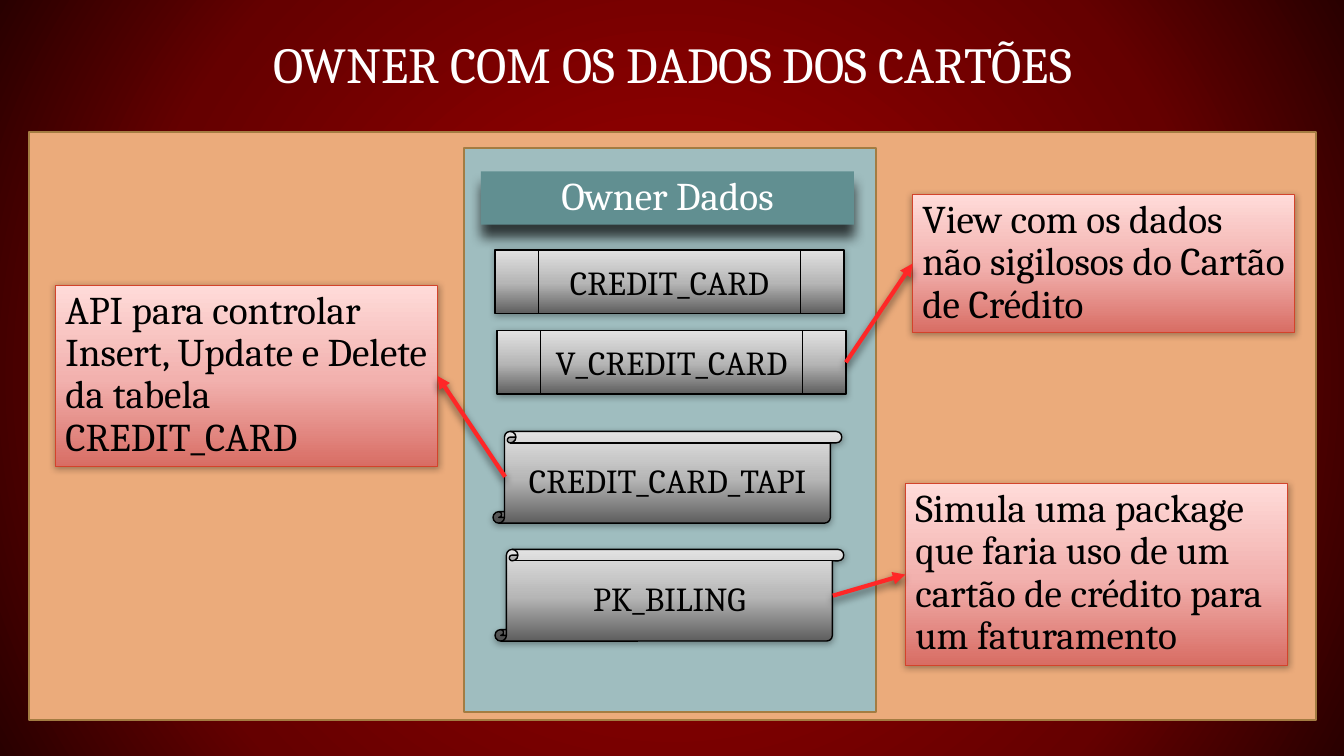
"""Build the slide that explains the owner schema holding the card data."""
from dataclasses import dataclass

from lxml.etree import SubElement
from pptx import Presentation
from pptx.dml.color import RGBColor
from pptx.enum.shapes import MSO_CONNECTOR, MSO_SHAPE
from pptx.enum.text import MSO_ANCHOR, MSO_AUTO_SIZE, PP_ALIGN
from pptx.oxml import parse_xml
from pptx.oxml.ns import nsdecls, qn
from pptx.util import Inches, Pt

Stops = tuple[tuple[int, str], ...]
LEFT, RIGHT = 1, 3


@dataclass(frozen=True)
class Shadow:
    alpha: int
    blur: int
    distance: int


@dataclass(frozen=True)
class Theme:
    font: str = "Cambria"
    title_size: int = 36
    label_size: int = 28
    object_size: int = 24
    white: str = "FFFFFF"
    black: str = "000000"
    stage: str = "EBAB7B"
    owner: str = "9FBDBF"
    heading: str = "618F91"
    panel_line: str = "A37C42"
    note_line: str = "D3432B"
    arrow: str = "FF2727"
    backdrop: Stops = ((17, "960000"), (71, "650000"), (100, "290000"))
    metal: Stops = ((0, "5E5E5E"), (48, "B6B6B6"), (100, "E2E2E2"))
    blush: Stops = ((0, "D86D64"), (48, "F2B1AE"), (100, "FFDBD9"))
    heading_shadow: Shadow = Shadow(70, 9, 9)
    soft_shadow: Shadow = Shadow(32, 5, 1)
    arrow_shadow: Shadow = Shadow(60, 6, 3)


THEME = Theme()


@dataclass(frozen=True)
class Box:
    left: float
    top: float
    width: float
    height: float
    text: str = ""


@dataclass(frozen=True)
class Style:
    fill: str | Stops
    line: str | None = None
    line_width: float = 1
    shadow: Shadow | None = None
    preset: MSO_SHAPE = MSO_SHAPE.RECTANGLE
    size: int = THEME.label_size
    color: str = THEME.black
    align: PP_ALIGN = PP_ALIGN.CENTER
    spacing: float = 0.9
    anchor: MSO_ANCHOR = MSO_ANCHOR.TOP
    auto_size: MSO_AUTO_SIZE = MSO_AUTO_SIZE.SHAPE_TO_FIT_TEXT


@dataclass(frozen=True)
class Link:
    source: str
    target: str
    start: tuple[float, float]
    end: tuple[float, float]
    end_site: int
    start_site: int | None = None


PANEL = {"line": THEME.panel_line, "line_width": 1.5}
OBJECT = {"fill": THEME.metal, "line": THEME.black, "shadow": THEME.soft_shadow,
          "size": THEME.object_size, "spacing": 1.0,
          "anchor": MSO_ANCHOR.MIDDLE, "auto_size": MSO_AUTO_SIZE.NONE}
STAGE = Style(THEME.stage, **PANEL)
OWNER = Style(THEME.owner, **PANEL)
HEADING = Style(THEME.heading, shadow=THEME.heading_shadow, color=THEME.white)
TABLE = Style(preset=MSO_SHAPE.FLOWCHART_PREDEFINED_PROCESS, **OBJECT)
CODE = Style(preset=MSO_SHAPE.VERTICAL_SCROLL, **OBJECT)
NOTE = Style(THEME.blush, THEME.note_line, shadow=THEME.soft_shadow, align=PP_ALIGN.LEFT)

BOXES = {
    "stage": (Box(0.29, 1.31, 12.76, 5.83), STAGE),
    "owner": (Box(4.6, 1.47, 4.09, 5.59), OWNER),
    "heading": (Box(4.77, 1.7, 3.7, 0.53, "Owner Dados"), HEADING),
    "table": (Box(4.91, 2.48, 3.46, 0.63, "CREDIT_CARD"), TABLE),
    "tapi": (Box(4.89, 4.28, 3.46, 0.91, "CREDIT_CARD_TAPI"), CODE),
    "billing": (Box(4.91, 5.45, 3.46, 0.91, "PK_BILING"), CODE),
    "view": (Box(4.93, 3.28, 3.46, 0.63, "V_CREDIT_CARD"), TABLE),
    "api_note": (Box(0.55, 2.83, 3.79, 1.8, "API para controlar Insert, Update e Delete "
                     "da tabela CREDIT_CARD"), NOTE),
    "billing_note": (Box(8.98, 4.8, 3.79, 1.8, "Simula uma package que faria uso de um "
                         "cartão de crédito para um faturamento"), NOTE),
    "view_note": (Box(9.05, 1.93, 3.79, 1.37, "View com os dados não sigilosos do Cartão "
                      "de Crédito"), NOTE),
}
LINKS = (
    Link("tapi", "api_note", (5.01, 4.73), (4.34, 3.73), RIGHT),
    Link("view", "view_note", (8.39, 3.6), (9.05, 2.62), LEFT, RIGHT),
    Link("billing", "billing_note", (8.26, 5.91), (8.98, 5.7), LEFT),
)


def set_gradient(properties, stops: Stops, direction: str) -> None:
    """Replace the solid fill of a property element by a gradient."""
    marks = "".join(f'<a:gs pos="{position * 1000}"><a:srgbClr val="{color}"/></a:gs>'
                    for position, color in stops)
    gradient = parse_xml(f'<a:gradFill {nsdecls("a")} rotWithShape="1">'
                         f'<a:gsLst>{marks}</a:gsLst>{direction}</a:gradFill>')
    properties.replace(properties.find(qn("a:solidFill")), gradient)


def add_shadow(effects, shadow: Shadow) -> None:
    """Put a downward shadow into an effect list."""
    outer = SubElement(effects, qn("a:outerShdw"), blurRad=str(Pt(shadow.blur)),
                       dist=str(Pt(shadow.distance)), dir="5400000",
                       algn="ctr", rotWithShape="0")
    color = SubElement(outer, qn("a:srgbClr"), val=THEME.black)
    SubElement(color, qn("a:alpha"), val=str(shadow.alpha * 1000))


def write_text(shape, text: str, style: Style) -> None:
    """Write one formatted paragraph into a shape."""
    frame = shape.text_frame
    frame.text = text
    paragraph = frame.paragraphs[0]
    font = paragraph.runs[0].font
    formats = {
        frame: {"word_wrap": True, "vertical_anchor": style.anchor,
                "auto_size": style.auto_size},
        paragraph: {"alignment": style.align, "line_spacing": style.spacing},
        font: {"name": THEME.font, "size": Pt(style.size)},
    }
    for target, values in formats.items():
        for attribute, value in values.items():
            setattr(target, attribute, value)
    font.color.rgb = RGBColor.from_string(style.color)


def draw_box(slide, box: Box, style: Style):
    """Draw a preset shape with its fill, line, shadow and text."""
    shape = slide.shapes.add_shape(style.preset, Inches(box.left), Inches(box.top),
                                   Inches(box.width), Inches(box.height))
    shape.shadow.inherit = False
    shape.fill.solid()
    if isinstance(style.fill, str):
        shape.fill.fore_color.rgb = RGBColor.from_string(style.fill)
    else:
        set_gradient(shape.element.spPr, style.fill, '<a:lin ang="16200000" scaled="0"/>')
    if style.line:
        shape.line.color.rgb = RGBColor.from_string(style.line)
        shape.line.width = Pt(style.line_width)
    else:
        shape.line.fill.background()
    if style.shadow:
        add_shadow(shape.element.spPr.find(qn("a:effectLst")), style.shadow)
    if box.text:
        write_text(shape, box.text, style)
    return shape


def draw_link(slide, link: Link, shapes: dict) -> None:
    """Draw an arrow from a database object to its note."""
    ends = [Inches(value) for value in (*link.start, *link.end)]
    arrow = slide.shapes.add_connector(MSO_CONNECTOR.STRAIGHT, *ends)
    if link.start_site is not None:
        arrow.begin_connect(shapes[link.source], link.start_site)
    arrow.end_connect(shapes[link.target], link.end_site)
    arrow.line.color.rgb = RGBColor.from_string(THEME.arrow)
    arrow.line.width = Pt(3)
    properties = arrow.element.spPr
    SubElement(properties.find(qn("a:ln")), qn("a:tailEnd"), type="triangle")
    add_shadow(SubElement(properties, qn("a:effectLst")), THEME.arrow_shadow)


def draw_title(slide) -> None:
    """Place and format the title."""
    title = slide.shapes.title
    frame = {"left": 0.29, "top": 0.29, "width": 12.76, "height": 0.7}
    margins = {"margin_left": 0.13, "margin_top": 0.07,
               "margin_right": 0.13, "margin_bottom": 0.07}
    for target, values in ((title, frame), (title.text_frame, margins)):
        for attribute, value in values.items():
            setattr(target, attribute, Inches(value))
    write_text(title, "OWNER COM OS DADOS DOS CARTÕES",
               Style(THEME.white, size=THEME.title_size, color=THEME.white, spacing=0.8,
                     anchor=MSO_ANCHOR.BOTTOM, auto_size=MSO_AUTO_SIZE.NONE))


def main() -> None:
    """Assemble and save the presentation."""
    deck = Presentation()
    deck.slide_width, deck.slide_height = Inches(13.33), Inches(7.5)
    slide = deck.slides.add_slide(deck.slide_layouts[5])
    slide.background.fill.solid()
    set_gradient(slide.element.find(".//" + qn("p:bgPr")), THEME.backdrop,
                 '<a:path path="circle"><a:fillToRect l="50000" t="50000" r="50000" '
                 'b="50000"/></a:path>')
    draw_title(slide)
    shapes = {name: draw_box(slide, box, style) for name, (box, style) in BOXES.items()}
    for link in LINKS:
        draw_link(slide, link, shapes)
    deck.save("out.pptx")


if __name__ == "__main__":
    main()
